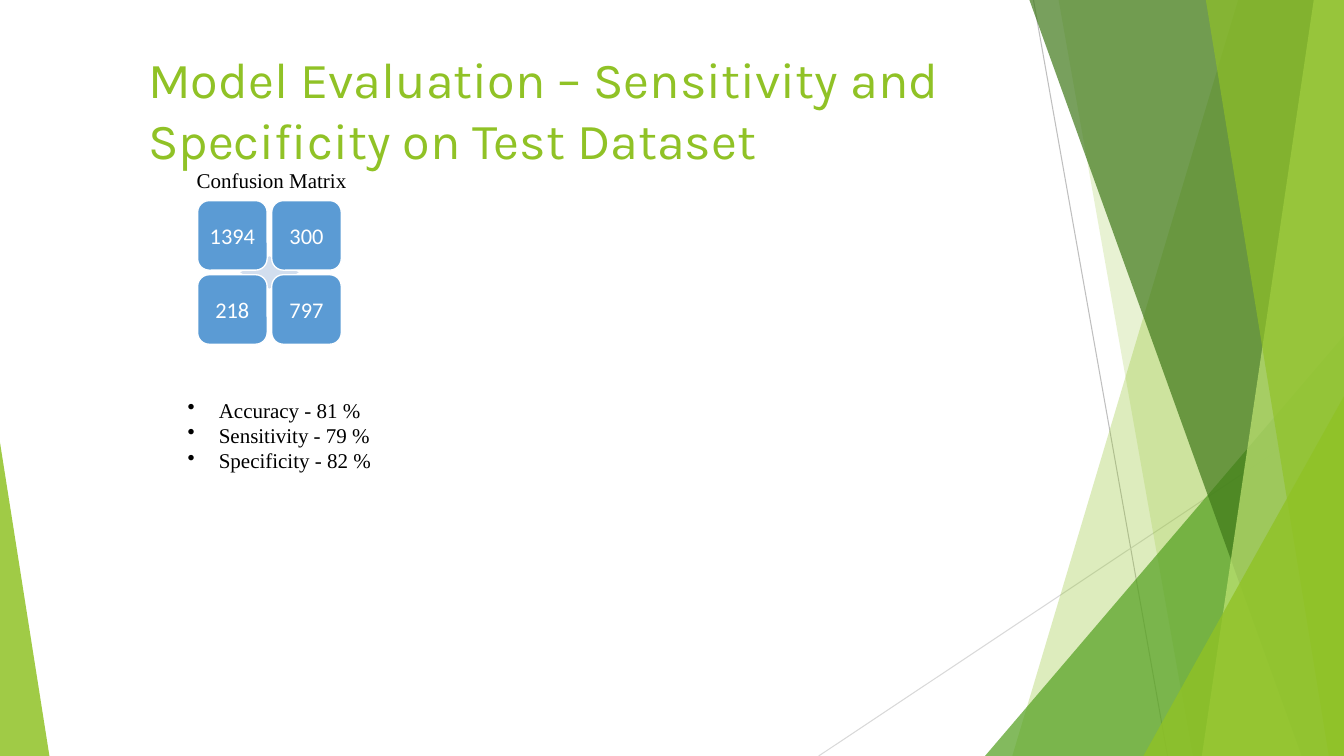
import pptx
import pptx.util
import pptx.dml.color
import pptx.enum.shapes
import pptx.enum.text
import pptx.oxml
import pptx.oxml.ns

TITLE = "Model Evaluation – Sensitivity and Specificity on Test Dataset"
MATRIX_TITLE = "Confusion Matrix"
MATRIX = [["1394", "300"], ["218", "797"]]
METRICS = ["Accuracy - 81 %", "Sensitivity - 79 %", "Specificity - 82 %"]

COLORS = {
    "lime": "90C226", "green": "54A021", "forest": "3F7819", "pale": "C0E474",
    "cell": "5B9BD4", "star": "D2DEEE", "white": "FFFFFF", "black": "000000",
    "grey": "BFBFBF", "silver": "D9D9D9",
}
WIDTH, HEIGHT = 13.33, 7.5
CELL, PITCH = 0.69, 0.735
MATRIX_LEFT, MATRIX_TOP = 1.96, 1.99

# Decoration, from back to front
RAYS = [((10.25, 0), (11.58, HEIGHT), "grey"), ((WIDTH, 4.03), (8.12, HEIGHT), "silver")]
# band: x at the top, x at the bottom, colour, opacity; it reaches the right edge
# corner: width, height, apex side (0 left, 1 right), colour, opacity
FACETS = [
    ("band", 12.28, 10.04, "lime", 30),
    ("band", 10.5, 11.83, "lime", 20),
    ("corner", 3.56, 4.17, 1, "green", 72),
    ("band", 10.21, 12.91, "forest", 70),
    ("band", 13.03, 11.92, "pale", 70),
    ("band", 11.96, 13.18, "lime", 65),
    ("corner", 1.99, 3.57, 1, "lime", 80),
    ("corner", 0.49, 3.11, 0, "lime", 85),
]

SHAPES = pptx.enum.shapes.MSO_SHAPE
ALIGN = pptx.enum.text.PP_ALIGN
Inches = pptx.util.Inches


def color(name):
    return pptx.dml.color.RGBColor.from_string(COLORS[name])


def add_xml(parent, tag, **attributes):
    child = pptx.oxml.ns.qn(tag)
    element = parent.makeelement(child, attributes)
    parent.append(element)
    return element


def paint(shape, name, opacity=100):
    """Plain fill without outline or shadow."""
    shape.shadow.inherit = False
    shape.line.fill.background()
    shape.fill.solid()
    shape.fill.fore_color.rgb = color(name)
    if opacity < 100:
        tone = shape.fill._xPr.find(".//" + pptx.oxml.ns.qn("a:srgbClr"))
        add_xml(tone, "a:alpha", val=str(opacity * 1000))


def add_preset(page, kind, left, top, width, height):
    return page.shapes.add_shape(kind, *map(Inches, (left, top, width, height)))


def add_ray(page, start, end, name):
    ray = page.shapes.add_connector(
        pptx.enum.shapes.MSO_CONNECTOR.STRAIGHT, *map(Inches, start + end))
    ray.line.color.rgb = color(name)
    ray.line.width = pptx.util.Pt(0.75)
    add_xml(ray._element.spPr, "a:effectLst")


def add_band(page, top_x, bottom_x, name, opacity):
    corners = [(top_x, 0), (WIDTH, 0), (WIDTH, HEIGHT), (bottom_x, HEIGHT)]
    points = [(Inches(x), Inches(y)) for x, y in corners]
    outline = page.shapes.build_freeform(*points[0])
    outline.add_line_segments(points[1:], close=True)
    paint(outline.convert_to_shape(), name, opacity)


def add_corner(page, width, height, side, name, opacity):
    corner = add_preset(page, SHAPES.ISOSCELES_TRIANGLE,
                        side * (WIDTH - width), HEIGHT - height, width, height)
    corner.adjustments[0] = side
    paint(corner, name, opacity)


def write(shape, lines, font, size, name, align=ALIGN.LEFT):
    frame = shape.text_frame
    frame.word_wrap = True
    frame.margin_left = frame.margin_right = frame.margin_bottom = 0
    frame.margin_top = Inches(0.01)
    frame.text = "\n".join(lines)
    for para in frame.paragraphs:
        para.alignment = align
        para.font.name = font
        para.font.size = pptx.util.Pt(size)
        para.font.color.rgb = color(name)
    frame.paragraphs[0].space_before = pptx.util.Pt(1)
    return frame


def add_text(page, area, lines, font, size, name):
    box = page.shapes.add_textbox(*map(Inches, area))
    return write(box, lines, font, size, name)


def add_matrix(page):
    center_x = MATRIX_LEFT + (PITCH + CELL) / 2
    center_y = MATRIX_TOP + (PITCH + CELL) / 2
    star = add_preset(page, SHAPES.DIAMOND, center_x - 0.29, center_y - 0.16, 0.58, 0.32)
    paint(star, "star")
    for row, values in enumerate(MATRIX):
        for column, value in enumerate(values):
            cell = add_preset(page, SHAPES.ROUNDED_RECTANGLE, MATRIX_LEFT + column * PITCH,
                              MATRIX_TOP + row * PITCH, CELL, CELL)
            paint(cell, "cell")
            cell.line.color.rgb = color("white")
            cell.line.width = pptx.util.Pt(0.96)
            frame = write(cell, [value], "Calibri", 16, "white", ALIGN.CENTER)
            frame.vertical_anchor = pptx.enum.text.MSO_ANCHOR.MIDDLE


def main():
    deck = pptx.Presentation()
    deck.slide_width, deck.slide_height = Inches(WIDTH), Inches(HEIGHT)
    page = deck.slides.add_slide(deck.slide_layouts[6])

    for ray in RAYS:
        add_ray(page, *ray)
    for kind, *facet in FACETS:
        (add_band if kind == "band" else add_corner)(page, *facet)

    add_text(page, (1.47, 0.47, 8.07, 1.23), [TITLE], "Karla", 36, "lime")
    metrics = add_text(page, (1.84, 3.93, 1.95, 0.78), METRICS,
                       "Times New Roman", 15, "black")
    for para in metrics.paragraphs:
        layout = para._p.get_or_add_pPr()
        layout.set("marL", str(Inches(0.33)))
        layout.set("indent", str(-Inches(0.31)))
        bullet = layout.makeelement(pptx.oxml.ns.qn("a:buChar"), {"char": "•"})
        layout.find(pptx.oxml.ns.qn("a:defRPr")).addprevious(bullet)
    add_matrix(page)
    add_text(page, (1.95, 1.65, 1.6, 0.28), [MATRIX_TITLE], "Times New Roman", 15, "black")
    deck.save("out.pptx")


if __name__ == "__main__":
    main()
